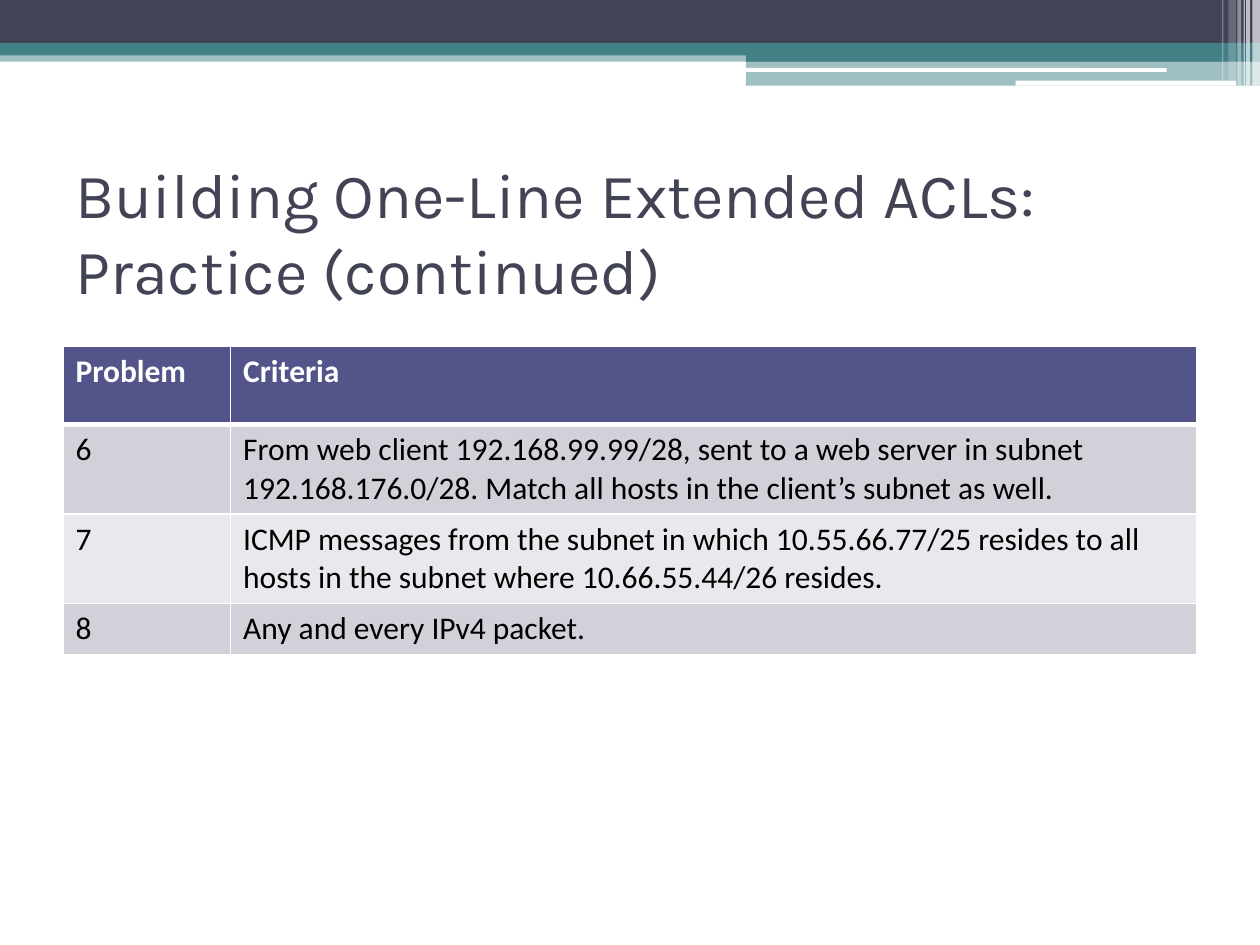
"""Build a slide with a practice table for one-line extended ACLs."""
import pptx
import pptx.dml.color
import pptx.enum.shapes
import pptx.enum.text
import pptx.oxml.ns
import pptx.util
from lxml import etree
from pptx.util import Inches

RGBColor = pptx.dml.color.RGBColor
SLATE = RGBColor(0x42, 0x44, 0x56)
TEAL = RGBColor(0x43, 0x80, 0x86)
WHITE = RGBColor(0xFF, 0xFF, 0xFF)
BLACK = RGBColor(0x00, 0x00, 0x00)
HEADER_FILL = RGBColor(0x53, 0x54, 0x8A)
ODD_FILL = RGBColor(0xD1, 0xD1, 0xDA)
EVEN_FILL = RGBColor(0xE9, 0xE9, 0xED)
RECTANGLE = pptx.enum.shapes.MSO_SHAPE.RECTANGLE
ROUNDED = pptx.enum.shapes.MSO_SHAPE.ROUNDED_RECTANGLE


def add_band(slide, kind, left, top, width, height, color, opacity):
    band = slide.shapes.add_shape(
        kind, Inches(left), Inches(top), Inches(width), Inches(height))
    band.shadow.inherit = False
    band.line.fill.background()
    band.fill.solid()
    band.fill.fore_color.rgb = color
    if opacity < 100:
        color_node = band.fill._xPr.find(".//" + pptx.oxml.ns.qn("a:srgbClr"))
        alpha = etree.SubElement(color_node, pptx.oxml.ns.qn("a:alpha"))
        alpha.set("val", str(opacity * 1000))


def add_border(cell, side, points):
    properties = cell._tc.get_or_add_tcPr()
    line = etree.Element(pptx.oxml.ns.qn("a:" + side), w=str(pptx.util.Pt(points)))
    fill = etree.SubElement(line, pptx.oxml.ns.qn("a:solidFill"))
    etree.SubElement(fill, pptx.oxml.ns.qn("a:srgbClr"), val=str(WHITE))
    properties.insert(len(properties) - 1, line)


deck = pptx.Presentation()
deck.slide_width = Inches(10)
deck.slide_height = Inches(7.5)
page = deck.slides.add_slide(deck.slide_layouts[5])

bands = [
    (RECTANGLE, 0, 0.4, 10, 0.09, TEAL, 50),
    (RECTANGLE, 0, 0, 10, 0.34, SLATE, 100),
    (RECTANGLE, 0, 0.34, 10, 0.1, TEAL, 100),
    (RECTANGLE, 5.92, 0.39, 4.08, 0.1, TEAL, 100),
    (RECTANGLE, 5.92, 0.48, 4.08, 0.2, TEAL, 50),
    (ROUNDED, 5.91, 0.54, 3.35, 0.03, WHITE, 100),
    (ROUNDED, 8.06, 0.64, 1.75, 0.04, WHITE, 100),
]
for band in bands:
    add_band(page, *band)

stripes = [
    (9.94, 0.06, 0.68, 65),
    (9.89, 0.03, 0.68, 65),
    (9.87, 0.01, 0.68, 60),
    (9.82, 0.03, 0.68, 40),
    (9.75, 0.06, 0.64, 20),
    (9.7, 0.01, 0.64, 30),
]
for left, width, height, opacity in stripes:
    add_band(page, RECTANGLE, left, 0, width, height, WHITE, opacity)

title = page.shapes.title
title.left, title.top = Inches(0.5), Inches(1.25)
title.width, title.height = Inches(9), Inches(1.17)
title.text_frame.text = "Building One-Line Extended ACLs: Practice (continued)"
title.text_frame.word_wrap = True
title.text_frame.auto_size = pptx.enum.text.MSO_AUTO_SIZE.NONE
title.text_frame.vertical_anchor = pptx.enum.text.MSO_ANCHOR.MIDDLE
heading = title.text_frame.paragraphs[0]
heading.alignment = pptx.enum.text.PP_ALIGN.LEFT
heading.font.name = "Karla"
heading.font.size = pptx.util.Pt(36)
heading.font.color.rgb = SLATE

rows = [
    ("Problem", "Criteria"),
    ("6", "From web client 192.168.99.99/28, sent to a web server in subnet "
          "192.168.176.0/28. Match all hosts in the client’s subnet as well."),
    ("7", "ICMP messages from the subnet in which 10.55.66.77/25 resides to all "
          "hosts in the subnet where 10.66.55.44/26 resides."),
    ("8", "Any and every IPv4 packet."),
]
row_fills = [HEADER_FILL, ODD_FILL, EVEN_FILL, ODD_FILL]
row_heights = [0.62, 0.62, 0.62, 0.36]
table = page.shapes.add_table(
    len(rows), 2, Inches(0.5), Inches(2.75), Inches(9), Inches(sum(row_heights))).table
table.columns[0].width = Inches(1.33)
table.columns[1].width = Inches(7.67)

for row_index, texts in enumerate(rows):
    table.rows[row_index].height = Inches(row_heights[row_index])
    is_header = row_index == 0
    for column_index, text in enumerate(texts):
        cell = table.cell(row_index, column_index)
        cell.text = text
        cell.fill.solid()
        cell.fill.fore_color.rgb = row_fills[row_index]
        para = cell.text_frame.paragraphs[0]
        para.font.name = "Calibri"
        para.font.size = pptx.util.Pt(18)
        para.font.bold = is_header
        para.font.color.rgb = WHITE if is_header else BLACK
        for side in ("lnL", "lnR", "lnT", "lnB"):
            heavy = (is_header and side == "lnB") or (row_index == 1 and side == "lnT")
            add_border(cell, side, 3 if heavy else 1)

deck.save("out.pptx")
